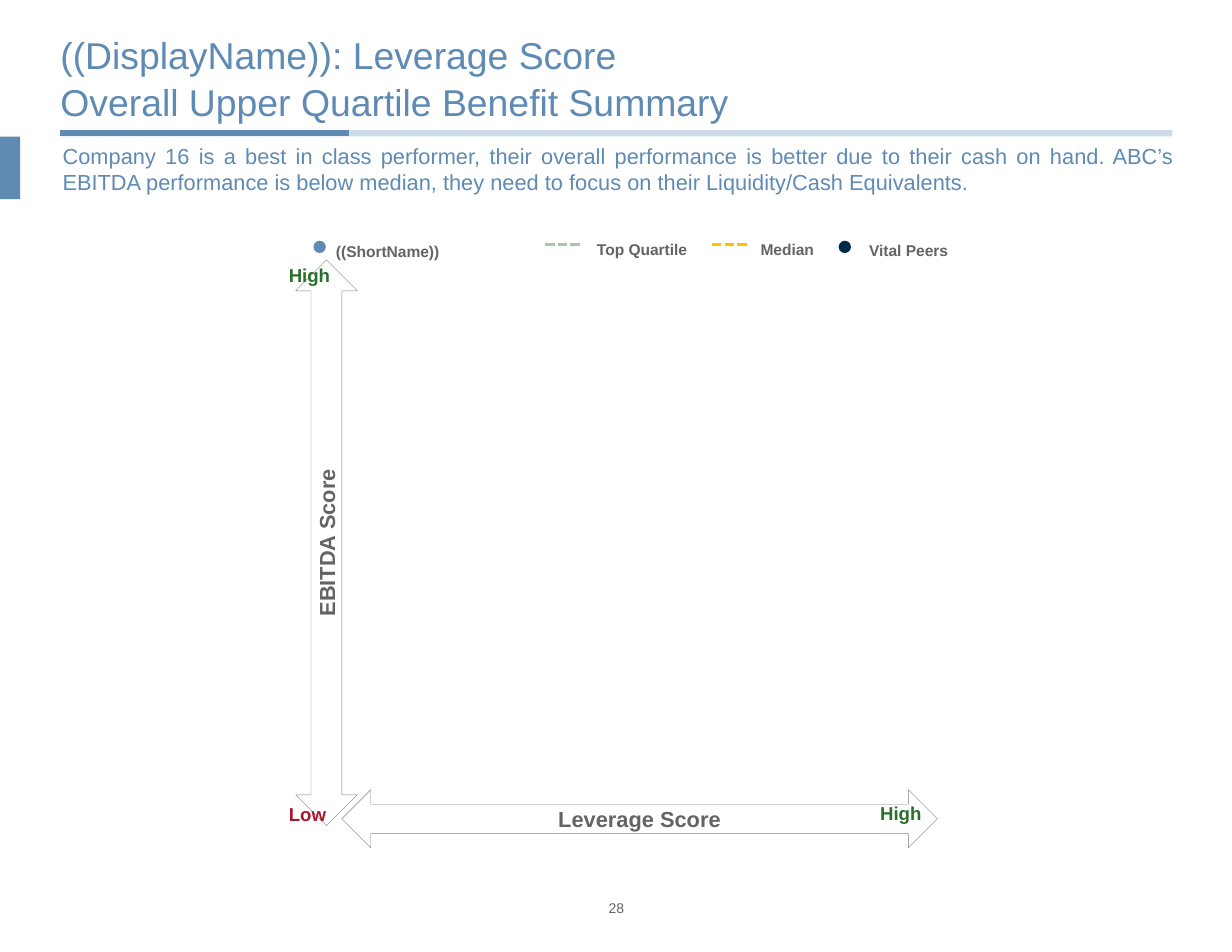
from lxml.etree import SubElement
from pptx import Presentation
from pptx.dml.color import RGBColor
from pptx.enum.dml import MSO_LINE as Dash
from pptx.enum.shapes import MSO_CONNECTOR as Connector, MSO_SHAPE as Shape
from pptx.enum.text import MSO_ANCHOR as Anchor, PP_ALIGN as Align
from pptx.oxml.ns import qn
from pptx.util import Cm, Pt

COLOURS = {
    "blue": "5E8AB4", "navy": "002B49", "grey": "646464", "outline": "808080",
    "green": "29702A", "red": "A6192E", "sage": "A9C6AA", "amber": "FFC000", "white": "FFFFFF",
}


class SlideBuilder:
    """Draws styled elements on the current slide, with lengths in centimetres."""

    font = "Arial"
    inset = 0.13

    def __init__(self, slide):
        self.slide = slide

    def colour(self, name):
        return RGBColor.from_string(COLOURS[name])

    def fill_text(self, shape, lines, size, colour, bold=False, align=Align.LEFT,
                  anchor=Anchor.TOP, inset=0, spacing=None, after=0):
        frame = shape.text_frame
        frame.word_wrap = True
        frame.vertical_anchor = anchor
        frame.margin_left = frame.margin_right = Cm(inset)
        frame.margin_top = frame.margin_bottom = Cm(inset)
        paragraph = frame.paragraphs[0]
        paragraph.alignment = align
        paragraph.space_after = Pt(after)
        if spacing:
            paragraph.line_spacing = spacing
        for index, line in enumerate(lines):
            if index:
                paragraph.add_line_break()
            run = paragraph.add_run()
            run.text = line
            run.font.name = self.font
            run.font.size = Pt(size)
            run.font.bold = bold
            run.font.color.rgb = self.colour(colour)

    def text(self, box, lines, size, colour, **style):
        shape = self.slide.shapes.add_textbox(*map(Cm, box))
        self.fill_text(shape, lines, size, colour, **style)

    def shape(self, kind, box, fill=None, outline=None):
        shape = self.slide.shapes.add_shape(kind, *map(Cm, box))
        shape.shadow.inherit = False
        if fill:
            shape.fill.solid()
            shape.fill.fore_color.rgb = self.colour(fill)
        else:
            shape.fill.background()
        if outline:
            shape.line.color.rgb = self.colour(outline)
            shape.line.width = Pt(0.25)
        else:
            shape.line.fill.background()
        return shape

    def axis(self, box, label, fill=None, rotation=0):
        arrow = self.shape(Shape.LEFT_RIGHT_ARROW, box, fill, "outline")
        arrow.rotation = rotation
        self.fill_text(arrow, [label], 14, "grey", bold=True, align=Align.CENTER,
                       anchor=Anchor.MIDDLE, inset=self.inset)

    def line(self, left, right, top, colour, width, dash=None, opacity=None):
        line = self.slide.shapes.add_connector(
            Connector.STRAIGHT, Cm(left), Cm(top), Cm(right), Cm(top))
        line.line.color.rgb = self.colour(colour)
        line.line.width = Pt(width)
        if dash:
            line.line.dash_style = dash
        properties = line._element.spPr
        if opacity:
            tint = properties.find(".//" + qn("a:srgbClr"))
            SubElement(tint, qn("a:alpha")).set("val", str(opacity * 1000))
        SubElement(properties, qn("a:effectLst"))

    def dot(self, left, colour):
        self.shape(Shape.OVAL, (left, 5.46, 0.28, 0.28), colour)

    def legend_label(self, left, top, width, label):
        self.text((left, top, width, 0.48), [label], 10, "grey", bold=True, inset=self.inset)


def main():
    presentation = Presentation()
    presentation.slide_width, presentation.slide_height = Cm(27.94), Cm(21.59)
    builder = SlideBuilder(presentation.slides.add_slide(presentation.slide_layouts[6]))

    builder.line(1.37, 26.59, 3.02, "blue", 4, opacity=30)
    builder.line(1.37, 7.92, 3.02, "blue", 4)
    builder.shape(Shape.RECTANGLE, (0, 3.1, 0.46, 1.42), "blue")
    builder.text((1.37, 0.53, 25.22, 2.29),
                 ["((DisplayName)): Leverage Score", "Overall Upper Quartile Benefit Summary"],
                 24, "blue", anchor=Anchor.BOTTOM, spacing=1.05)

    builder.axis((0.99, 11.61, 12.83, 1.4), "EBITDA Score", "white", rotation=270)
    builder.axis((7.75, 17.91, 13.51, 1.32), "Leverage Score")
    for left, top, label, colour in (
        (19.96, 18.19, "High", "green"),
        (6.55, 5.99, "High", "green"),
        (6.55, 18.21, "Low", "red"),
    ):
        builder.text((left, top, 1.7, 0.66), [label], 12, colour, bold=True)

    builder.dot(7.11, "blue")
    builder.dot(19.02, "navy")
    builder.line(12.37, 13.21, 5.54, "sage", 2, Dash.SQUARE_DOT)
    builder.line(16.15, 16.97, 5.54, "amber", 2, Dash.SQUARE_DOT)
    for left, top, width, label in (
        (7.49, 5.36, 4.65, "((ShortName))"),
        (13.41, 5.31, 2.74, "Top Quartile"),
        (17.12, 5.31, 2.18, "Median"),
        (19.58, 5.33, 2.18, "Vital Peers"),
    ):
        builder.legend_label(left, top, width, label)

    builder.text((13.51, 20.4, 0.94, 0.38), ["28"], 9, "grey", align=Align.CENTER)
    builder.text((1.42, 3.23, 25.22, 0.76),
                 ["Company 16 is a best in class performer, their overall performance is better due to "
                  "their cash on hand. ABC’s EBITDA performance is below median, they need to focus on "
                  "their Liquidity/Cash Equivalents."],
                 14, "blue", align=Align.JUSTIFY, after=8)
    presentation.save("out.pptx")


if __name__ == "__main__":
    main()
